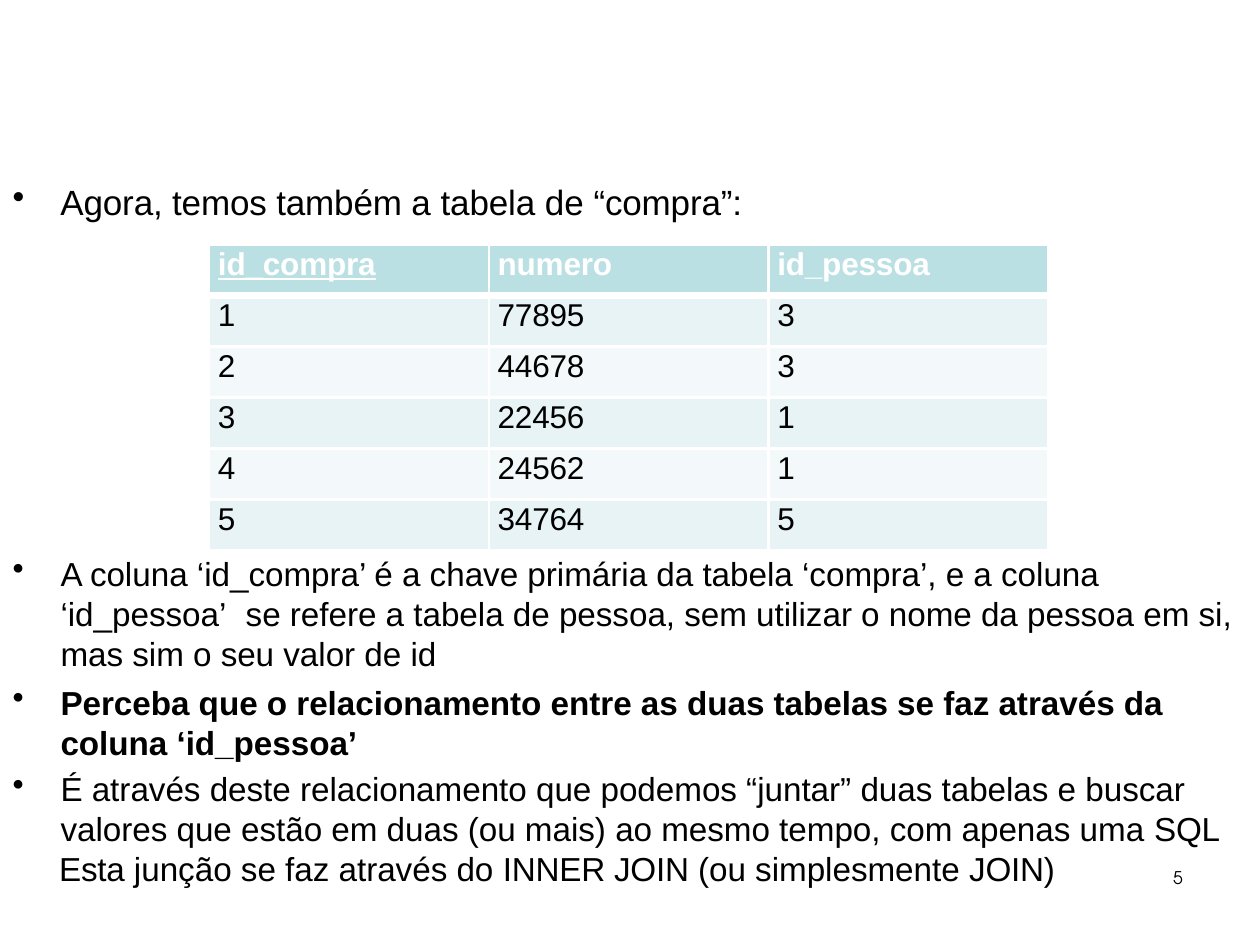
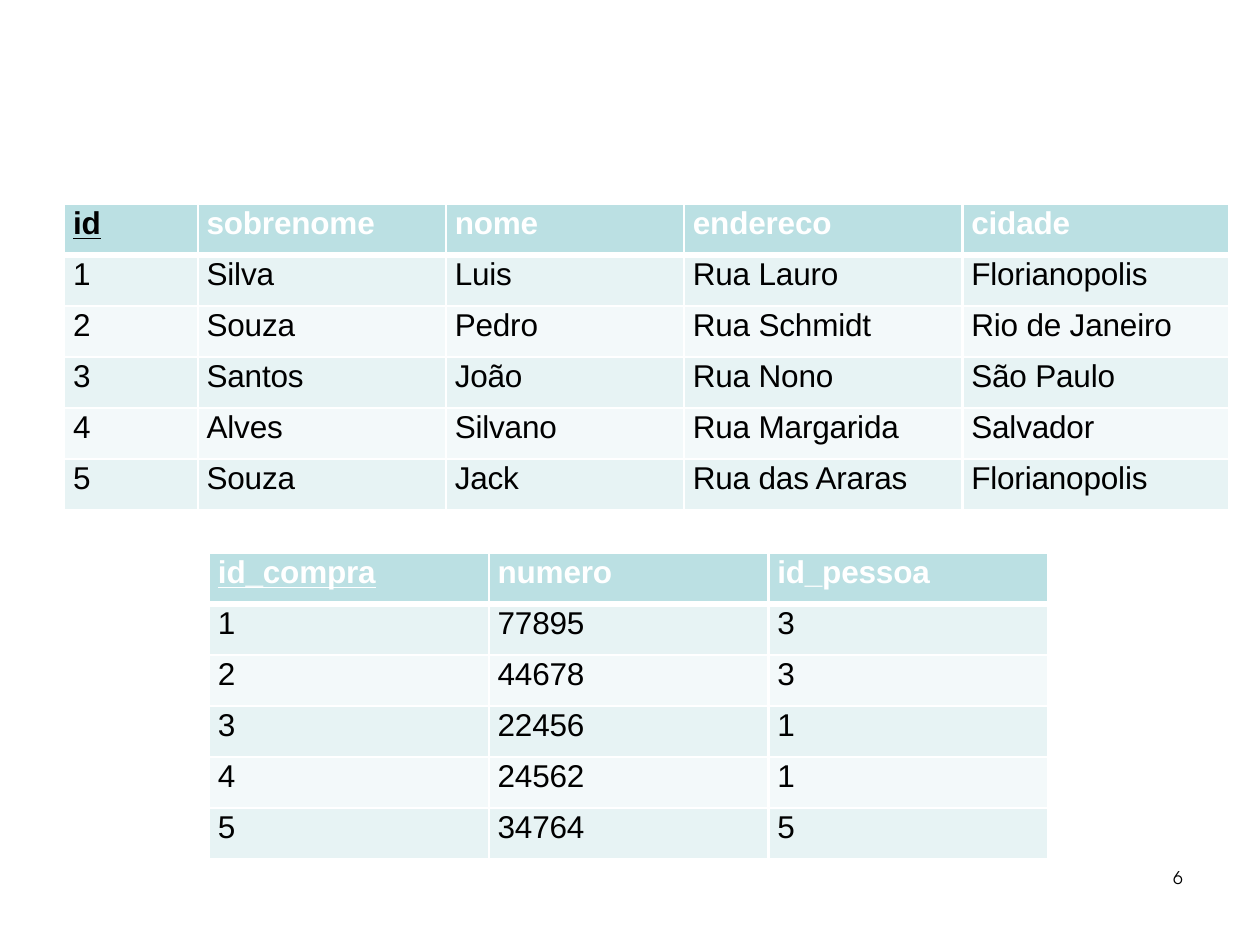
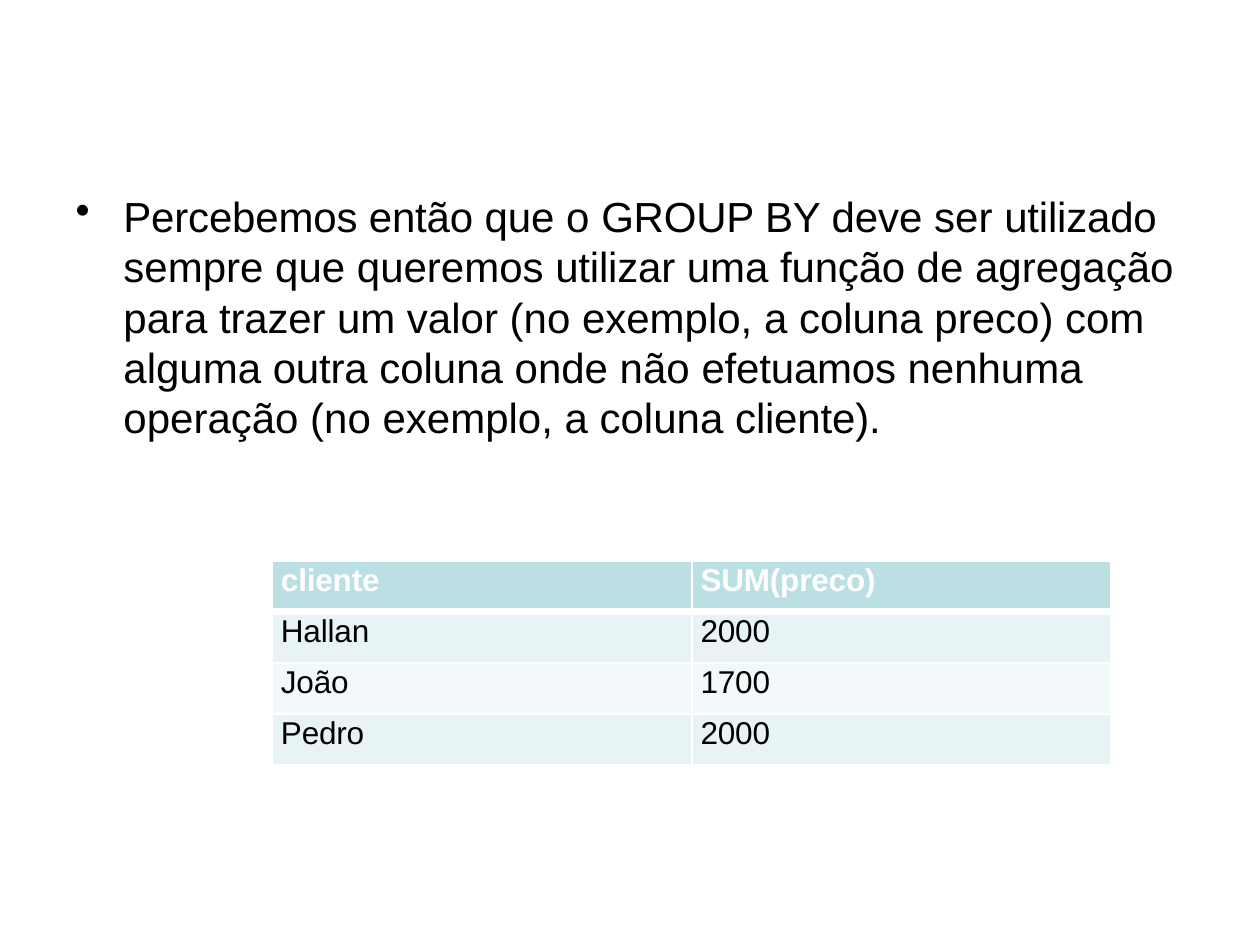
"""Build three slides on SQL table relationships and grouping."""
from dataclasses import dataclass
from typing import Optional

from lxml.etree import SubElement
from pptx import Presentation
from pptx.dml.color import RGBColor
from pptx.oxml.ns import qn
from pptx.util import Inches, Pt

COLORS = {"text": "000000", "white": "FFFFFF", "header": "BBE0E3",
          "odd": "E7F3F4", "even": "F3F9FA"}
BODY_FONT = "Arial"
NUMBER_FONT = "TeX Gyre Adventor"
ROW_HEIGHT = Inches(0.81) // 2
THIN, THICK = Pt(1.5), Pt(4.25)
TIGHT = -0.1


@dataclass(frozen=True)
class Span:
    text: str
    spacing: float = 0
    bold: bool = False
    underline: bool = False
    color: str = "text"


@dataclass(frozen=True)
class Para:
    spans: list[Span]
    bullet: bool = True
    space_before: float = 0
    line_spacing: Optional[float] = None
    tab: Optional[float] = None


@dataclass(frozen=True)
class TextBlock:
    left: float
    top: float
    width: float
    height: float
    size: float
    paras: list[Para]
    font: str = BODY_FONT


@dataclass(frozen=True)
class Grid:
    left: float
    top: float
    widths: list[float]
    rows: list[list[str]]
    has_key: bool = True
    key_color: str = "white"


def alternate(*texts: str) -> list[Span]:
    """Make spans that switch between tight and normal spacing."""
    return [Span(text, 0 if index % 2 else TIGHT) for index, text in enumerate(texts)]


def add_span(paragraph, span: Span, size: float, font: str) -> None:
    """Append one formatted run."""
    run = paragraph.add_run()
    run.text = span.text
    run.font.name = font
    run.font.size = Pt(size)
    run.font.bold = span.bold
    run.font.underline = span.underline
    run.font.color.rgb = RGBColor.from_string(COLORS[span.color])
    run._r.get_or_add_rPr().set("spc", str(round(span.spacing * 100)))


def set_indent(paragraph, left: float, first: float = 0):
    """Set the paragraph indents and return its properties."""
    props = paragraph._p.get_or_add_pPr()
    props.set("marL", str(Inches(left)))
    props.set("indent", str(Inches(first)))
    return props


def add_text(slide, block: TextBlock) -> None:
    """Draw a text block with its paragraphs."""
    box = slide.shapes.add_textbox(Inches(block.left), Inches(block.top),
                                   Inches(block.width), Inches(block.height))
    frame = box.text_frame
    frame.word_wrap = True
    frame.margin_left = frame.margin_right = frame.margin_bottom = 0
    frame.margin_top = Inches(0.02)
    for index, para in enumerate(block.paras):
        paragraph = frame.add_paragraph() if index else frame.paragraphs[0]
        if para.bullet:
            props = set_indent(paragraph, 0.39, -0.38)
            SubElement(props, qn("a:buChar"), char="•")
            stops = SubElement(props, qn("a:tabLst"))
            for stop in filter(None, (0.39, para.tab)):
                SubElement(stops, qn("a:tab"), pos=str(Inches(stop)), algn="l")
        else:
            set_indent(paragraph, 0.01)
        if para.space_before:
            paragraph.space_before = Pt(para.space_before)
        if para.line_spacing:
            paragraph.line_spacing = para.line_spacing
        for span in para.spans:
            add_span(paragraph, span, block.size, block.font)


def add_borders(cell, row: int) -> None:
    """Draw white cell borders, thick below the header row."""
    props = cell._tc.get_or_add_tcPr()
    widths = {"L": THIN, "R": THIN, "T": THICK if row == 1 else THIN,
              "B": THICK if row == 0 else THIN}
    for side, width in widths.items():
        line = SubElement(props, qn(f"a:ln{side}"), w=str(width))
        fill = SubElement(line, qn("a:solidFill"))
        SubElement(fill, qn("a:srgbClr"), val=COLORS["white"])


def add_grid(slide, grid: Grid) -> None:
    """Draw a table with a header and alternating rows."""
    table = slide.shapes.add_table(
        len(grid.rows), len(grid.widths), Inches(grid.left), Inches(grid.top),
        Inches(sum(grid.widths)), ROW_HEIGHT * len(grid.rows)).table
    table.horz_banding = False
    for column, width in zip(table.columns, grid.widths):
        column.width = Inches(width)
    for r, values in enumerate(grid.rows):
        table.rows[r].height = ROW_HEIGHT
        header = r == 0
        fill = "header" if header else "odd" if r % 2 else "even"
        for c, value in enumerate(values):
            cell = table.cell(r, c)
            cell.margin_left = cell.margin_right = cell.margin_top = cell.margin_bottom = 0
            add_borders(cell, r)
            cell.fill.solid()
            cell.fill.fore_color.rgb = RGBColor.from_string(COLORS[fill])
            key = header and c == 0 and grid.has_key
            color = grid.key_color if key else "white" if header else "text"
            paragraph = cell.text_frame.paragraphs[0]
            set_indent(paragraph, 0.07)
            paragraph.line_spacing = Pt(21.4)
            spacing = TIGHT if len(value) > 1 else 0
            add_span(paragraph, Span(value, spacing, header, key, color), 18, BODY_FONT)


def add_page_number(slide, number: int) -> None:
    """Draw the slide number."""
    para = Para([Span(str(number), 0.6)], bullet=False)
    add_text(slide, TextBlock(9.3, 6.86, 0.11, 0.19, 10, [para], NUMBER_FONT))


def purchases(top: float) -> Grid:
    """Describe the purchase table at the given height."""
    return Grid(1.66, top, [2.22] * 3, [
        ["id_compra", "numero", "id_pessoa"],
        ["1", "77895", "3"],
        ["2", "44678", "3"],
        ["3", "22456", "1"],
        ["4", "24562", "1"],
        ["5", "34764", "5"],
    ])


PEOPLE = Grid(0.51, 1.62, [1.06, 1.97, 1.89, 2.21, 2.12], [
    ["id", "sobrenome", "nome", "endereco", "cidade"],
    ["1", "Silva", "Luis", "Rua Lauro", "Florianopolis"],
    ["2", "Souza", "Pedro", "Rua Schmidt", "Rio de Janeiro"],
    ["3", "Santos", "João", "Rua Nono", "São Paulo"],
    ["4", "Alves", "Silvano", "Rua Margarida", "Salvador"],
    ["5", "Souza", "Jack", "Rua das Araras", "Florianopolis"],
], key_color="text")

TOTALS = Grid(2.16, 4.45, [3.33] * 2, [
    ["cliente", "SUM(preco)"],
    ["Hallan", "2000"],
    ["João", "1700"],
    ["Pedro", "2000"],
], has_key=False)

INTRO = TextBlock(0.09, 1.41, 5.84, 0.36, 20, [
    Para(alternate("Agora, temos também ", "a ", "tabela ", "de ", "“compra”:"))])

RELATIONSHIP = TextBlock(0.09, 4.37, 9.75, 2.37, 19, [
    Para([Span("A coluna ‘id_compra’ é a chave primária da tabela ‘compra’, e a coluna "
               "‘id_pessoa’\tse refere a tabela de pessoa, sem utilizar o nome da pessoa "
               "em si, mas sim o seu valor de id")], line_spacing=1.0, tab=1.86),
    Para([Span("Perceba que o relacionamento entre as duas tabelas se faz através da "
               "coluna ‘id_pessoa’", bold=True)], space_before=5.4, line_spacing=Pt(22.7)),
    Para([Span("É através deste relacionamento que podemos “juntar” duas tabelas e buscar "
               "valores que estão em duas (ou mais) ao mesmo tempo, com apenas uma "),
          Span("SQL", TIGHT)], space_before=3.5, line_spacing=1.01),
])

JOIN_NOTE = TextBlock(0.46, 6.71, 7.99, 0.34, 19, [
    Para(alternate("Esta ", "junção se faz através do ", "INNER JOIN ",
                   "(ou simplesmente ", "JOIN)"), bullet=False)])

GROUPING = TextBlock(0.59, 1.49, 8.77, 2.03, 24, [
    Para(alternate("Percebemos então ", "que o ", "GROUP BY ", "deve ser ", "utilizado ",
                   "sempre que queremos ", "utilizar ", "uma ", "função ",
                   "de agregação para ", "trazer ",
                   "um valor (no exemplo, a coluna preco) com alguma ", "outra ",
                   "coluna onde não ", "efetuamos ",
                   "nenhuma operação (no exemplo, a coluna ", "cliente)."),
         line_spacing=1.0)])


def main() -> None:
    """Build and save the presentation."""
    deck = Presentation()
    deck.slide_width, deck.slide_height = Inches(10), Inches(7.5)
    blank = deck.slide_layouts[6]
    join, tables, grouping = (deck.slides.add_slide(blank) for _ in range(3))

    for block in (INTRO, RELATIONSHIP, JOIN_NOTE):
        add_text(join, block)
    add_page_number(join, 5)
    add_grid(join, purchases(1.94))

    add_page_number(tables, 6)
    add_grid(tables, PEOPLE)
    add_grid(tables, purchases(4.39))

    add_text(grouping, GROUPING)
    add_grid(grouping, TOTALS)
    deck.save("out.pptx")


if __name__ == "__main__":
    main()
